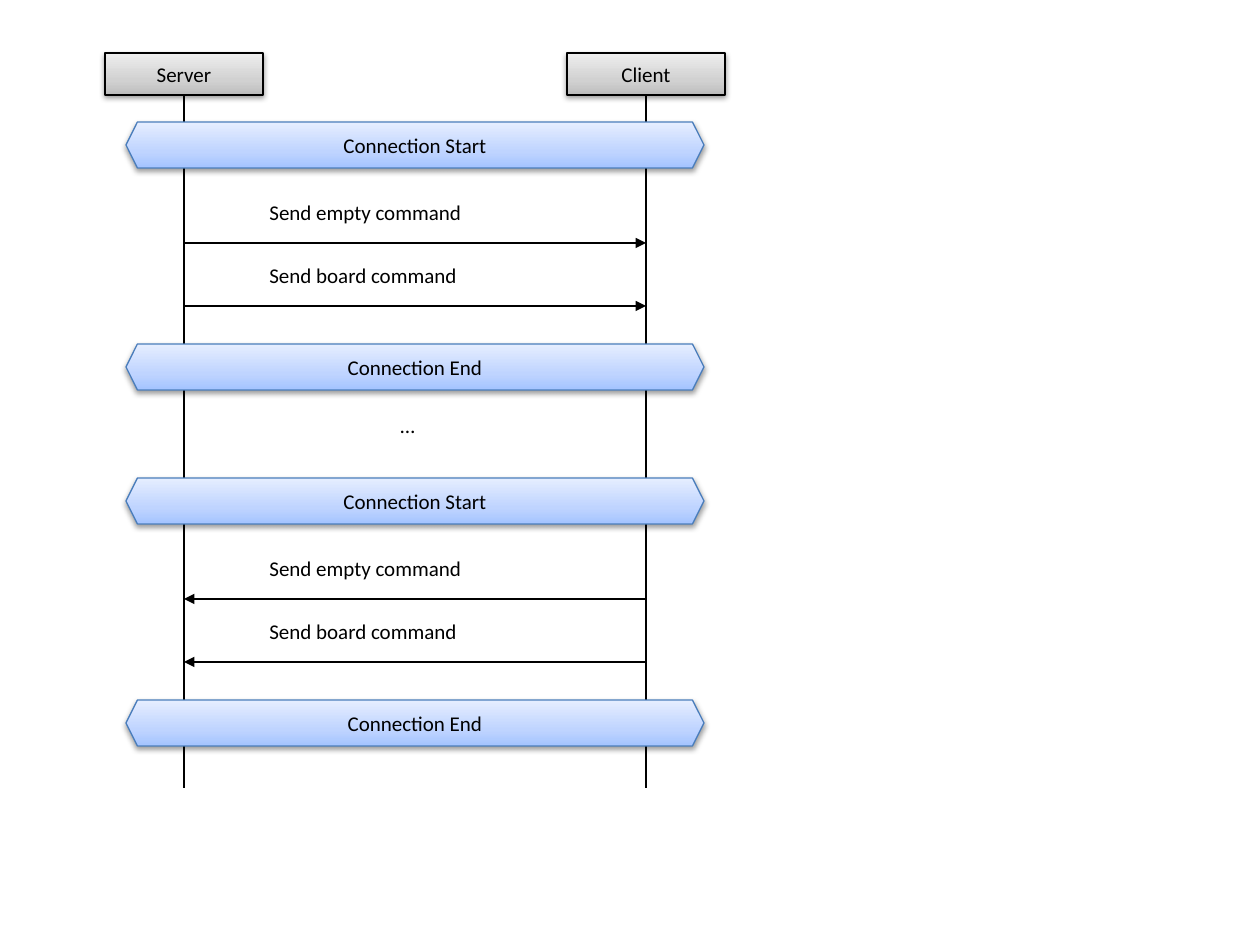
from lxml import etree
from pptx import Presentation
from pptx.dml.color import RGBColor
from pptx.enum.shapes import MSO_CONNECTOR, MSO_SHAPE
from pptx.enum.text import MSO_ANCHOR, MSO_AUTO_SIZE, PP_ALIGN
from pptx.oxml.ns import qn
from pptx.util import Emu, Pt

RECT, HEXAGON = MSO_SHAPE.RECTANGLE, MSO_SHAPE.HEXAGON
STRAIGHT = MSO_CONNECTOR.STRAIGHT
MIDDLE, CENTER, LEFT = MSO_ANCHOR.MIDDLE, PP_ALIGN.CENTER, PP_ALIGN.LEFT
FIT_SHAPE = MSO_AUTO_SIZE.SHAPE_TO_FIT_TEXT
SCALE = 914400 // 126

GREY = ("BDBDBD", "D1D1D1", "EEEEEE")
BLUE = ("A4C4FF", "BFD4FF", "E6EEFF")
BLACK, BLUE_EDGE = "000000", "4B7EBC"


def px(n):
    """Turn pixels into EMU."""
    return Emu(round(n * SCALE))


def rgb(value):
    """Turn a hex string into a colour."""
    return RGBColor.from_string(value)


def add_xml(parent, tag, **attrs):
    """Append a DrawingML element."""
    return etree.SubElement(parent, qn(tag), {k: str(v) for k, v in attrs.items()})


class SequenceSlide:
    """Style and drawing methods for a sequence diagram."""

    font = {"name": "Calibri", "size": Pt(12)}
    stops = (0, 35000, 100000)
    shadow = {"blurRad": 40000, "dist": 20000, "dir": 5400000, "rotWithShape": 0}

    def __init__(self, prs):
        """Add a blank slide."""
        self.s = prs.slides.add_slide(prs.slide_layouts[6])

    def set_text(self, tf, text, align):
        """Fill a text frame with one styled paragraph."""
        p = tf.paragraphs[0]
        p.alignment = align
        r = p.add_run()
        r.text = text
        for key, value in self.font.items():
            setattr(r.font, key, value)
        r.font.color.rgb = rgb(BLACK)

    def stroke(self, line, colour):
        """Set a thin line."""
        line.color.rgb = rgb(colour)
        line.width = Pt(0.75)

    def box(self, kind, text, x, y, w, h, colours, edge):
        """Draw a shape with a gradient, a soft shadow and centred text."""
        sp = self.s.shapes.add_shape(kind, px(x), px(y), px(w), px(h))
        self.stroke(sp.line, edge)
        sp.fill.gradient()
        sp.fill.gradient_angle = 90
        spPr = sp.element.spPr
        stop_list = spPr.find(qn("a:gradFill")).find(qn("a:gsLst"))
        for old in list(stop_list):
            stop_list.remove(old)
        for pos, colour in zip(self.stops, colours):
            add_xml(add_xml(stop_list, "a:gs", pos=pos), "a:srgbClr", val=colour)
        sp.shadow.inherit = False
        outer = add_xml(spPr.find(qn("a:effectLst")), "a:outerShdw", **self.shadow)
        add_xml(add_xml(outer, "a:srgbClr", val=BLACK), "a:alpha", val=38000)
        sp.text_frame.vertical_anchor = MIDDLE
        self.set_text(sp.text_frame, text, CENTER)

    def line(self, x1, y1, x2, y2, arrow=None):
        """Draw a line, with an arrowhead at headEnd or tailEnd."""
        cx = self.s.shapes.add_connector(STRAIGHT, px(x1), px(y1), px(x2), px(y2))
        self.stroke(cx.line, BLACK)
        spPr = cx.element.spPr
        if arrow:
            add_xml(spPr.find(qn("a:ln")), "a:" + arrow, type="triangle")
        add_xml(spPr, "a:effectLst")

    def label(self, text, x, y, w):
        """Add a label that does not wrap."""
        tf = self.s.shapes.add_textbox(px(x), px(y), px(w), px(38)).text_frame
        tf.word_wrap = False
        tf.auto_size = FIT_SHAPE
        self.set_text(tf, text, LEFT)


prs = Presentation()
prs.slide_width, prs.slide_height = px(1260), px(945)
diagram = SequenceSlide(prs)

SERVER_X, CLIENT_X = 184, 646
ACTORS = (("Server", SERVER_X), ("Client", CLIENT_X))
for name, x in ACTORS:
    diagram.box(RECT, name, x - 79, 53, 158, 42, GREY, BLACK)
for name, x in ACTORS:
    diagram.line(x, 95, x, 788)

MESSAGES = (("Send empty command", 219), ("Send board command", 214))
for top, arrow in ((122, "tailEnd"), (478, "headEnd")):
    for text, y in (("Connection Start", top), ("Connection End", top + 222)):
        diagram.box(HEXAGON, text, 126, y, 578, 46, BLUE, BLUE_EDGE)
    for i, (text, width) in enumerate(MESSAGES):
        y = top + 121 + 63 * i
        diagram.line(SERVER_X, y, CLIENT_X, y, arrow)
        diagram.label(text, 257, y - 50, width)
diagram.label("…", 388, 406, 40)

prs.save("out.pptx")
